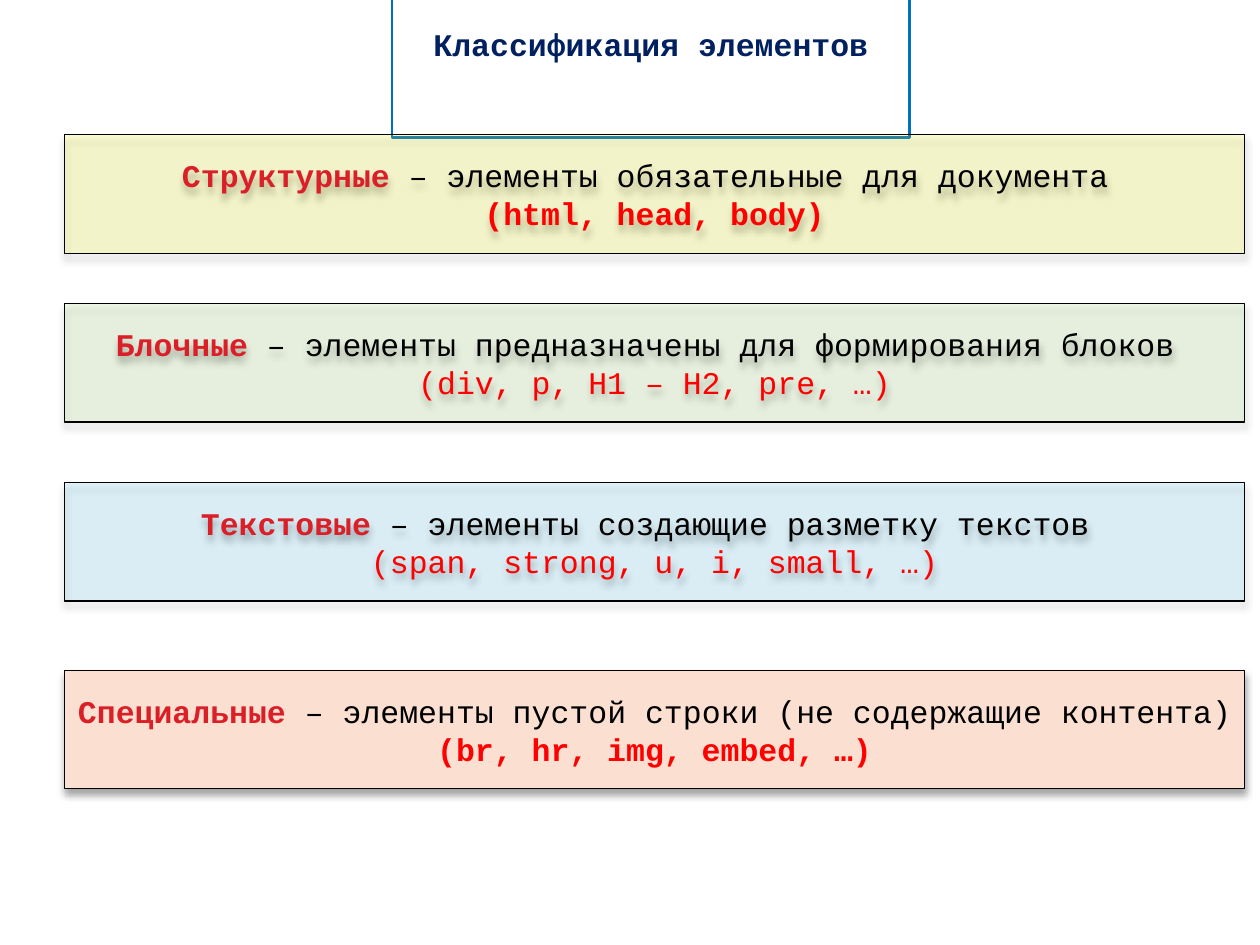
"""Build the slide that classifies HTML elements into four groups."""
from lxml import etree
from pptx import Presentation, util as u
from pptx.dml.color import RGBColor
from pptx.enum import shapes, text
from pptx.oxml import ns

THEME = {
    "font": "Courier New", "size": 18,
    "heading": "002060", "frame": "0070C0", "frame_width": 1.5,
    "term": "DA1F28", "body": "000000", "tags": "FF0000",
    "border": "000000", "border_width": 0.75,
    "shadow": {"color": "000000", "alpha": 35, "blur": 4, "dist": 3, "angle": 90},
}
SLIDE = (10, 7.5)
HEADING = "Классификация элементов"
HEADING_BOX = (3.11, -0.39, 4.11, 1.48)
BAND_LEFT, BAND_WIDTH, BAND_HEIGHT = 0.51, 9.37, 0.94
GROUPS = [
    {"top": 1.07, "fill": "FFFF00", "alpha": 16, "term": "Структурные",
     "meaning": " – элементы обязательные для документа ",
     "tags": "(html, head, body)", "bold": True},
    {"top": 2.41, "fill": "92D050", "alpha": 13, "term": "Блочные",
     "meaning": " – элементы предназначены для формирования блоков ",
     "tags": "(div, p, H1 – H2, pre, …)", "bold": False},
    {"top": 3.83, "fill": "00B0F0", "alpha": 11, "term": "Текстовые",
     "meaning": " – элементы создающие разметку текстов ",
     "tags": "(span, strong, u, i, small, …)", "bold": False},
    {"top": 5.32, "fill": "FBDFD0", "alpha": 100, "term": "Специальные",
     "meaning": " – элементы пустой строки (не содержащие контента) ",
     "tags": "(br, hr, img, embed, …)", "bold": True},
]


def add_box(slide, box, line, width):
    panel = slide.shapes.add_shape(
        shapes.MSO_SHAPE.RECTANGLE, *(u.Inches(v) for v in box))
    panel.shadow.inherit = False
    panel.fill.background()
    panel.line.color.rgb = RGBColor.from_string(line)
    panel.line.width = u.Pt(width)
    panel.text_frame.word_wrap = True
    panel.text_frame.vertical_anchor = text.MSO_ANCHOR.MIDDLE
    return panel


def write(paragraph, runs):
    paragraph.alignment = text.PP_ALIGN.CENTER
    paragraph.font.name = THEME["font"]
    paragraph.font.size = u.Pt(THEME["size"])
    for words, color, bold in runs:
        run = paragraph.add_run()
        run.text = words
        run.font.color.rgb = RGBColor.from_string(color)
        run.font.bold = bold


def set_alpha(color, percent):
    etree.SubElement(color, ns.qn("a:alpha"), val=str(percent * 1000))


def paint(panel, color, alpha):
    panel.fill.solid()
    panel.fill.fore_color.rgb = RGBColor.from_string(color)
    if alpha < 100:
        set_alpha(panel._element.spPr.find(f"{ns.qn('a:solidFill')}/{ns.qn('a:srgbClr')}"), alpha)


def cast_shadow(panel, color, alpha, blur, dist, angle):
    effects = panel._element.spPr.find(ns.qn("a:effectLst"))
    shadow = etree.SubElement(
        effects, ns.qn("a:outerShdw"), blurRad=str(u.Pt(blur)),
        dist=str(u.Pt(dist)), dir=str(angle * 60000), rotWithShape="0")
    set_alpha(etree.SubElement(shadow, ns.qn("a:srgbClr"), val=color), alpha)


def add_group(slide, group):
    box = (BAND_LEFT, group["top"], BAND_WIDTH, BAND_HEIGHT)
    band = add_box(slide, box, THEME["border"], THEME["border_width"])
    paint(band, group["fill"], group["alpha"])
    cast_shadow(band, **THEME["shadow"])
    write(band.text_frame.paragraphs[0], [
        (group["term"], THEME["term"], True),
        (group["meaning"], THEME["body"], False)])
    write(band.text_frame.add_paragraph(),
          [(group["tags"], THEME["tags"], group["bold"])])


def main():
    deck = Presentation()
    deck.slide_width, deck.slide_height = (u.Inches(v) for v in SLIDE)
    slide = deck.slides.add_slide(deck.slide_layouts[6])
    heading = add_box(slide, HEADING_BOX, THEME["frame"], THEME["frame_width"])
    write(heading.text_frame.paragraphs[0], [(HEADING, THEME["heading"], True)])
    for group in GROUPS:
        add_group(slide, group)
    deck.save("out.pptx")


if __name__ == "__main__":
    main()
